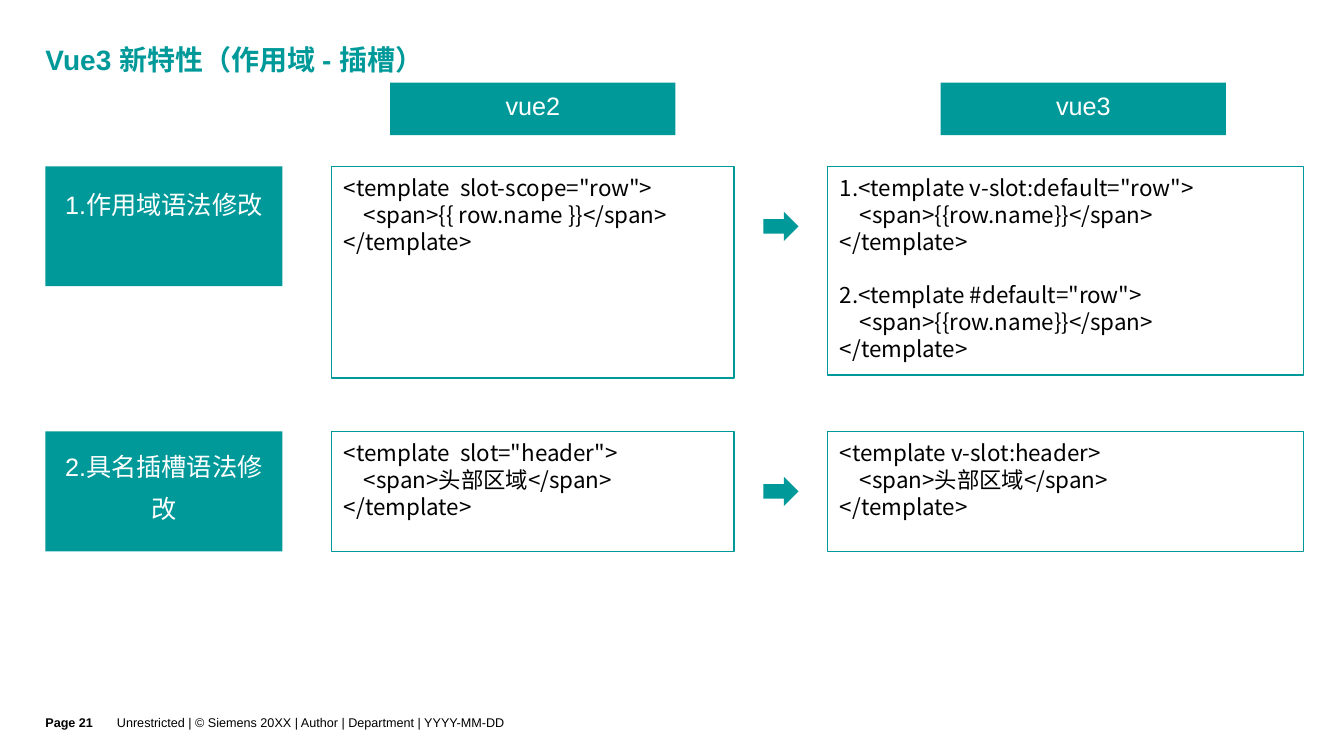
"""Build the slide that compares slot syntax in vue2 and vue3."""
from pptx import Presentation
from pptx.dml.color import RGBColor as Rgb
from pptx.enum.shapes import MSO_SHAPE as Kind
from pptx.enum.text import MSO_ANCHOR as Anchor, PP_ALIGN as Align
from pptx.oxml.ns import qn
from pptx.util import Inches, Pt

HUES = {"teal": "009999", "white": "FFFFFF", "black": "000000"}
CJK = "Noto Sans CJK SC"
COLS = {"label": (0.45, 2.35), "old": (3.29, 3.99), "arrow": (7.6, 0.29), "new": (8.21, 4.72)}
ROWS = {"head": (0.82, 0.52), "scope": (1.65, 1.19), "named": (4.28, 1.19)}
PAD = (0.12, 0.08, 0.12, 0.08)
FOOT = (0, 0, 0, 0.07)
HEAD = {"size": Pt(18), "name": "Arial"}
CODE = {"size": Pt(16), "name": CJK}
SMALL = {"size": Pt(9), "name": "Arial"}


def draw(kind, at, fill=None, line=None):
    area = [Inches(n) for n in at]
    if kind is None:
        return page.shapes.add_textbox(*area)
    shape = page.shapes.add_shape(kind, *area)
    shape.shadow.inherit = False
    if fill:
        shape.fill.solid()
        shape.fill.fore_color.rgb = Rgb.from_string(HUES[fill])
    else:
        shape.fill.background()
    if line:
        shape.line.color.rgb = Rgb.from_string(HUES[line])
        shape.line.width = Pt(1)
    else:
        shape.line.fill.background()
    return shape


def write(shape, lines, font, hue, pad=PAD, anchor=Anchor.TOP, **form):
    frame = shape.text_frame
    frame.word_wrap = True
    frame.vertical_anchor = anchor
    for side, gap in zip(("left", "top", "right", "bottom"), pad):
        setattr(frame, "margin_" + side, Inches(gap))
    for i, line in enumerate(lines):
        par = frame.paragraphs[0] if i == 0 else frame.add_paragraph()
        for key, val in ({"alignment": Align.LEFT} | form).items():
            setattr(par, key, val)
        run = par.add_run()
        run.text = line
        for key, val in font.items():
            setattr(run.font, key, val)
        run.font.color.rgb = Rgb.from_string(HUES[hue])
        east = run.font._element.makeelement(qn("a:ea"), {"typeface": CJK})
        run.font._element.find(qn("a:latin")).addnext(east)
    return frame


deck = Presentation()
deck.slide_width, deck.slide_height = Inches(13.33), Inches(7.5)
page = deck.slides.add_slide(deck.slide_layouts[6])

write(draw(None, (0.45, 0.28, 10.79, 0.79)), ["Vue3 新特性（作用域 - 插槽）"],
      {"size": Pt(20), "name": "Arial", "bold": True}, "teal",
      (0, 0, 0.35, 0.33), Anchor.BOTTOM, line_spacing=Pt(22))

notes = [
    (1.16, 10.08, "Unrestricted | © Siemens 20XX | Author | Department | YYYY-MM-DD", False),
    (0.45, 0.71, "Page 21", True),
]
for left, wide, text, bold in notes:
    write(draw(None, (left, 6.9, wide, 0.6)), [text], SMALL | {"bold": bold},
          "black", FOOT, Anchor.MIDDLE)

top, high = ROWS["head"]
for left, text in ((3.87, "vue2"), (9.33, "vue3")):
    write(draw(Kind.RECTANGLE, (left, top, 2.83, high), "teal"), [text],
          HEAD, "white", alignment=Align.CENTER)

pairs = [
    ("scope", "1.作用域语法修改", 32, 2.1, 2.07,
     ['<template  slot-scope="row">', "    <span>{{ row.name }}</span>", "</template>"],
     ['1.<template v-slot:default="row">', "    <span>{{row.name}}</span>", "</template>",
      '2.<template #default="row">', "    <span>{{row.name}}</span>", "</template>"]),
    ("named", "2.具名插槽语法修改", 30, 1.19, 1.19,
     ['<template  slot="header">', "    <span>头部区域</span>", "</template>"],
     ["<template v-slot:header>", "    <span>头部区域</span>", "</template>"]),
]
for row, label, pitch, tall, deep, old, new in pairs:
    top, high = ROWS[row]
    left, wide = COLS["label"]
    write(draw(Kind.RECTANGLE, (left, top, wide, high), "teal"), [label],
          HEAD, "white", alignment=Align.CENTER, line_spacing=Pt(pitch))
    for col, size, lines in (("old", tall, old), ("new", deep, new)):
        left, wide = COLS[col]
        frame = write(draw(Kind.RECTANGLE, (left, top, wide, size), line="teal"), lines,
                      CODE, "black", line_spacing=Pt(19.1))
        for par in frame.paragraphs:
            if par.text.startswith("2."):
                par.space_before = Pt(19.1)
    left, wide = COLS["arrow"]
    arrow = draw(Kind.DOWN_ARROW, (left, top + 0.42, wide, 0.35), "teal")
    arrow.rotation = 270

deck.save("out.pptx")
